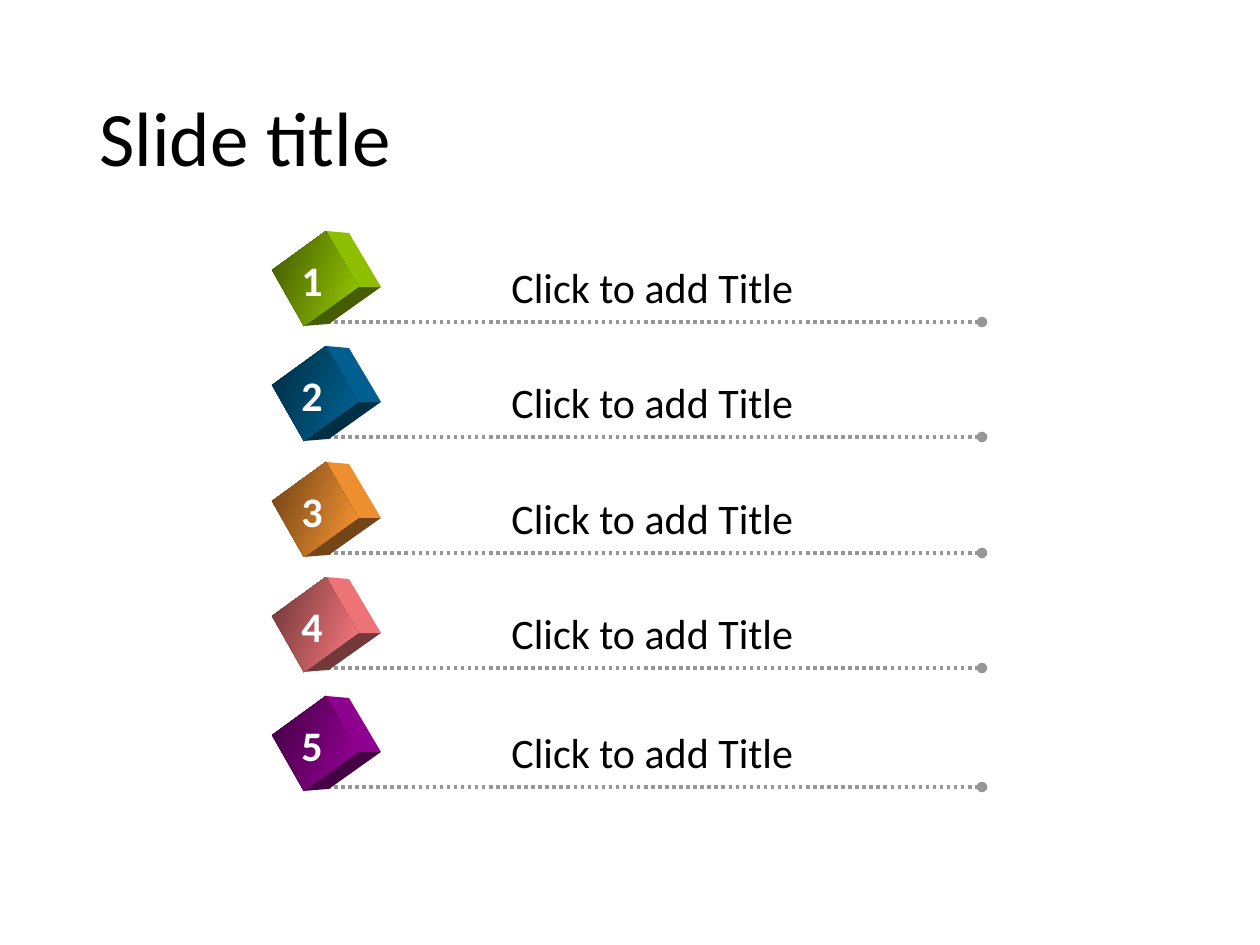
from lxml.etree import SubElement
from pptx import Presentation
from pptx.dml.color import RGBColor
from pptx.enum.dml import MSO_LINE
from pptx.enum.shapes import MSO_CONNECTOR, MSO_SHAPE
from pptx.enum.text import MSO_ANCHOR
from pptx.oxml.ns import qn
from pptx.util import Pt

SCALE = 914400 / 126
FONT = "Calibri"
BLACK = RGBColor(0x00, 0x00, 0x00)
WHITE = RGBColor(0xFF, 0xFF, 0xFF)
GRAY = RGBColor(0x96, 0x96, 0x96)
GREEN = RGBColor(0x99, 0xCC, 0x00)
BLUE = RGBColor(0x00, 0x66, 0x99)
ORANGE = RGBColor(0xFF, 0x99, 0x33)
PINK = RGBColor(0xFF, 0x7C, 0x80)
PURPLE = RGBColor(0x99, 0x00, 0x99)
ROWS = ((322, GREEN), (437, BLUE), (553, ORANGE), (668, PINK), (787, PURPLE))
FRONT = [(272, -52), (326, -91), (358, -35), (304, 4)]
SIDE = [(326, -91), (349, -89), (381, -35), (358, -35)]
BASE = [(304, 4), (358, -35), (381, -35), (329, 2)]


def emu(px):
    return round(px * SCALE)


def shade(color, part):
    return RGBColor(*(round(c * part) for c in color))


class Deck:
    """Draws styled elements on one slide."""

    def __init__(self):
        self.prs = Presentation()
        self.prs.slide_width, self.prs.slide_height = emu(1260), emu(945)
        self.shapes = self.prs.slides.add_slide(self.prs.slide_layouts[6]).shapes

    def panel(self, left, top, width, height):
        shape = self.shapes.add_shape(
            MSO_SHAPE.RECTANGLE, *map(emu, (left, top, width, height)))
        shape.shadow.inherit = False
        shape.fill.solid()
        shape.fill.fore_color.rgb = WHITE
        tint = shape._element.spPr.find(qn("a:solidFill"))[0]
        SubElement(tint, qn("a:alpha"), val="69000")
        shape.line.color.rgb, shape.line.width = WHITE, Pt(4.25)

    def text(self, words, left, top, width, height, size=24, color=BLACK,
             bold=False, anchor=MSO_ANCHOR.TOP, space=1.0):
        frame = self.shapes.add_textbox(*map(emu, (left, top, width, height))).text_frame
        frame.word_wrap = True
        frame.vertical_anchor = anchor
        para = frame.paragraphs[0]
        para.text = words
        para.line_spacing = space
        font = para.font
        font.name, font.size, font.bold = FONT, Pt(size), bold
        font.color.rgb = color

    def rule(self, left, right, y):
        link = self.shapes.add_connector(
            MSO_CONNECTOR.STRAIGHT, emu(left), emu(y), emu(right), emu(y))
        line = link.line
        line.color.rgb, line.width = GRAY, Pt(2)
        line.dash_style = MSO_LINE.ROUND_DOT
        SubElement(line._get_or_add_ln(), qn("a:tailEnd"), type="oval")
        SubElement(link._element.spPr, qn("a:effectLst"))

    def face(self, points, y, color, dark=None):
        spots = [(x, y + dy) for x, dy in points]
        pen = self.shapes.build_freeform(*spots[0], scale=SCALE)
        pen.add_line_segments(spots[1:], close=True)
        shape = pen.convert_to_shape()
        shape.shadow.inherit = False
        shape.line.fill.background()
        fill = shape.fill
        if dark is None:
            fill.solid()
            fill.fore_color.rgb = color
        else:
            fill.gradient()
            fill.gradient_angle = 340
            for stop, tone in zip(fill.gradient_stops, (dark, color)):
                stop.color.rgb = tone

    def cube(self, y, color):
        self.face(BASE, y, shade(color, 0.45))
        self.face(SIDE, y, shade(color, 0.93))
        self.face(FRONT, y, color, shade(color, 0.42))

    def item(self, count, y, color):
        self.rule(320, 982, y)
        self.cube(y, color)
        self.text("Click to add Title", 499, y - 67, 336, 63)
        self.text(str(count), 289, y - 74, 49, 63, color=WHITE, bold=True)


def main():
    deck = Deck()
    deck.panel(38, 31, 1188, 883)
    deck.text("Slide title", 87, 50, 1086, 183, size=44,
              anchor=MSO_ANCHOR.MIDDLE, space=0.9)
    for count, (y, color) in enumerate(ROWS, 1):
        deck.item(count, y, color)
    deck.prs.save("out.pptx")


if __name__ == "__main__":
    main()
